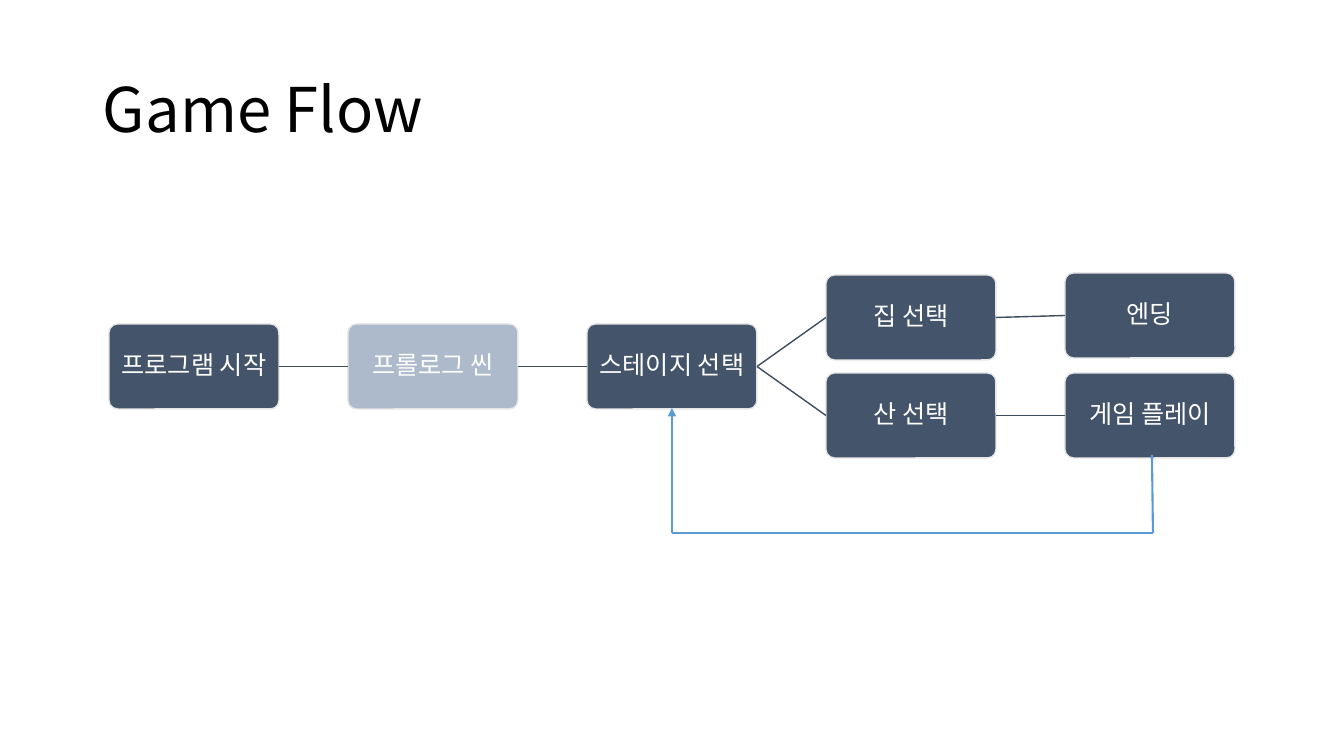
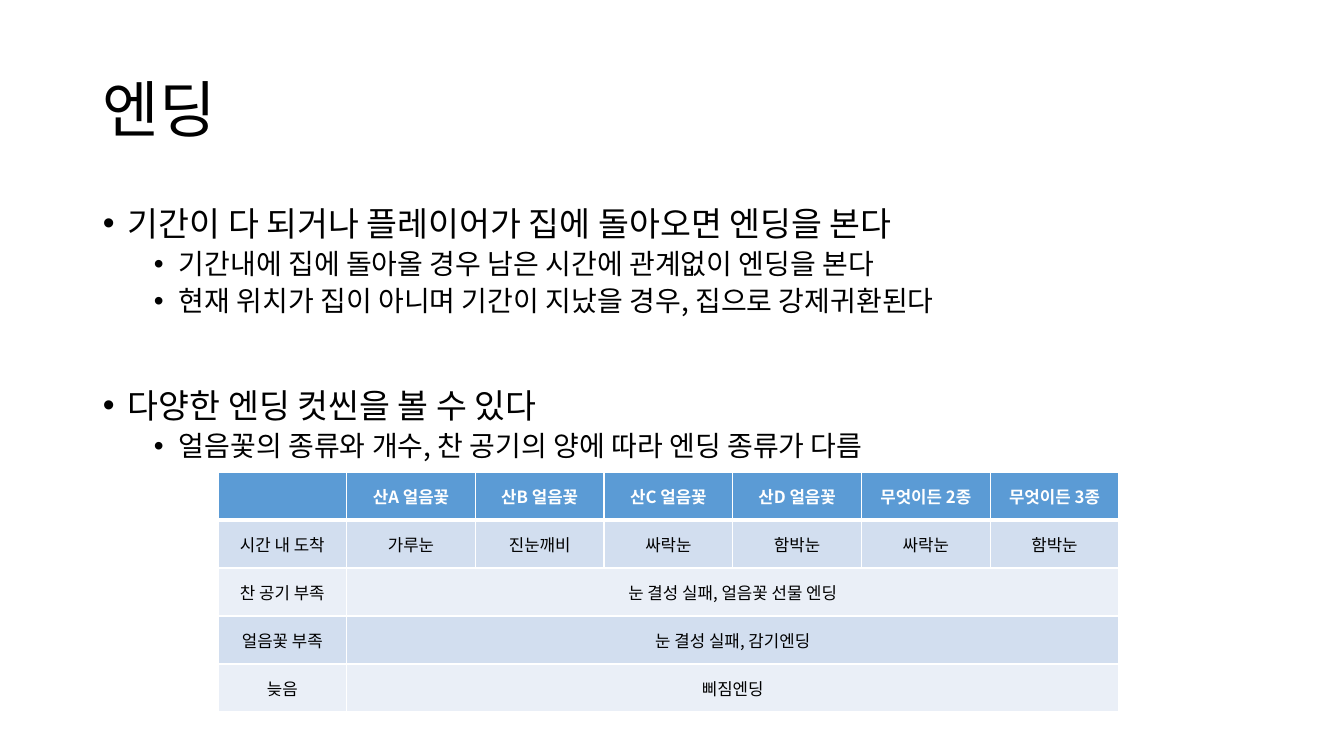
from pptx import Presentation
from pptx.dml.color import RGBColor
from pptx.enum.dml import MSO_LINE
from pptx.enum.shapes import MSO_CONNECTOR, MSO_SHAPE
from pptx.enum.text import MSO_ANCHOR, PP_ALIGN
from pptx.oxml.ns import qn
from pptx.util import Emu, Pt
from lxml.etree import SubElement

# Shared look
EMU_PER_PX = 914400 / 100.8
SLIDE_SIZE = (1344, 756)
FONT = "Noto Sans CJK KR"
BLACK, WHITE = "000000", "FFFFFF"
NAVY, PALE_NAVY, BOX_EDGE, LINK = "44546A", "ADBACB", "E7E6E6", "3E4C60"
BLUE, BAND_DARK, BAND_LIGHT = "5B9BD5", "D2DEEF", "EAEFF7"
TITLE_BOX = (93, 40, 1159, 146)

# Game flow: name -> (text, column, top, fill)
FLOW_LEFT, FLOW_STEP, BOX_WIDTH, BOX_HEIGHT = 109, 239, 170, 85
FLOW_BOXES = {
    "start": ("프로그램 시작", 0, 324, NAVY),
    "prologue": ("프롤로그 씬", 1, 324, PALE_NAVY),
    "stage": ("스테이지 선택", 2, 324, NAVY),
    "home": ("집 선택", 3, 275, NAVY),
    "ending": ("엔딩", 4, 273, NAVY),
    "mountain": ("산 선택", 3, 373, NAVY),
    "play": ("게임 플레이", 4, 373, NAVY),
}
FLOW_LINKS = [
    ("start", "prologue"), ("prologue", "stage"), ("stage", "home"),
    ("home", "ending"), ("stage", "mountain"), ("mountain", "play"),
]
RETURN_ROUTE = [(1152, 455), (1153, 533), (672, 533), (672, 408)]

# Ending: (level, space before in points, text)
BODY_BOX = (93, 202, 1159, 480)
LEVEL_FORMATS = [{"size": 24, "margin": 25}, {"size": 20, "margin": 76}]
BULLET_INDENT = 25
BULLETS = [
    (0, 10, "기간이 다 되거나 플레이어가 집에 돌아오면 엔딩을 본다"),
    (1, 5, "기간내에 집에 돌아올 경우 남은 시간에 관계없이 엔딩을 본다"),
    (1, 5, "현재 위치가 집이 아니며 기간이 지났을 경우, 집으로 강제귀환된다"),
    (0, 51, "다양한 엔딩 컷씬을 볼 수 있다"),
    (1, 5, "얼음꽃의 종류와 개수, 찬 공기의 양에 따라 엔딩 종류가 다름"),
]
TABLE_BOX = (218, 472, 901, 240)
ENDING_ROWS = [
    ["", "산A 얼음꽃", "산B 얼음꽃", "산C 얼음꽃", "산D 얼음꽃", "무엇이든 2종", "무엇이든 3종"],
    ["시간 내 도착", "가루눈", "진눈깨비", "싸락눈", "함박눈", "싸락눈", "함박눈"],
    ["찬 공기 부족", "눈 결성 실패, 얼음꽃 선물 엔딩"],
    ["얼음꽃 부족", "눈 결성 실패, 감기엔딩"],
    ["늦음", "삐짐엔딩"],
]


def px(value):
    return Emu(round(value * EMU_PER_PX))


def color(hex_text):
    return RGBColor.from_string(hex_text)


def set_attributes(target, values):
    for name, value in values.items():
        setattr(target, name, value)


def set_margins(target, horizontal, vertical):
    set_attributes(target, {
        "margin_left": px(horizontal), "margin_right": px(horizontal),
        "margin_top": px(vertical), "margin_bottom": px(vertical),
    })


def write(paragraph, text, size, text_color, bold=False, **paragraph_format):
    set_attributes(paragraph, paragraph_format)
    run = paragraph.add_run()
    run.text = text
    set_attributes(run.font, {"name": FONT, "size": Pt(size), "bold": bold})
    run.font.color.rgb = color(text_color)
    SubElement(run.font._element, qn("a:ea"), typeface=FONT)


def add_text_frame(slide, box, anchor):
    frame = slide.shapes.add_textbox(*map(px, box)).text_frame
    set_attributes(frame, {"word_wrap": True, "vertical_anchor": anchor})
    return frame


def add_titled_slide(presentation, title):
    slide = presentation.slides.add_slide(presentation.slide_layouts[6])
    frame = add_text_frame(slide, TITLE_BOX, MSO_ANCHOR.MIDDLE)
    write(frame.paragraphs[0], title, 44, BLACK, line_spacing=0.9)
    return slide


def add_flow_box(slide, text, column, top, fill):
    left = FLOW_LEFT + column * FLOW_STEP
    shape = slide.shapes.add_shape(
        MSO_SHAPE.ROUNDED_RECTANGLE, *map(px, (left, top, BOX_WIDTH, BOX_HEIGHT)))
    shape.adjustments[0] = 0.1
    shape.shadow.inherit = False
    shape.fill.solid()
    shape.fill.fore_color.rgb = color(fill)
    shape.line.color.rgb = color(BOX_EDGE)
    shape.line.width = Pt(1)
    frame = shape.text_frame
    set_attributes(frame, {"word_wrap": True, "vertical_anchor": MSO_ANCHOR.MIDDLE})
    set_margins(frame, 3, 3)
    write(frame.paragraphs[0], text, 18, WHITE,
          alignment=PP_ALIGN.CENTER, line_spacing=0.9)
    return shape


def add_line(slide, start, end, line_color, width):
    line = slide.shapes.add_connector(
        MSO_CONNECTOR.STRAIGHT, *map(px, (*start, *end)))
    line.line.color.rgb = color(line_color)
    set_attributes(line.line, {"width": Pt(width), "dash_style": MSO_LINE.SOLID})
    SubElement(line._element.spPr, qn("a:effectLst"))
    return line


def add_bullet(paragraph, level, space_before, text):
    level_format = LEVEL_FORMATS[level]
    write(paragraph, text, level_format["size"], BLACK, level=level,
          line_spacing=0.9, space_before=Pt(space_before))
    properties = paragraph._p.get_or_add_pPr()
    properties.set("marL", str(px(level_format["margin"])))
    properties.set("indent", str(-px(BULLET_INDENT)))
    SubElement(properties, qn("a:buFont"), typeface="Arial")
    SubElement(properties, qn("a:buChar"), char="•")


def add_borders(cell, widths):
    properties = cell._tc.get_or_add_tcPr()
    for side, width in widths.items():
        border = SubElement(properties, qn(f"a:ln{side}"), w=str(Pt(width)))
        fill = SubElement(border, qn("a:solidFill"))
        SubElement(fill, qn("a:srgbClr"), val=WHITE)


def add_ending_table(slide):
    row_count, column_count = len(ENDING_ROWS), len(ENDING_ROWS[0])
    table = slide.shapes.add_table(
        row_count, column_count, *map(px, TABLE_BOX)).table
    table.horz_banding = False
    for column in table.columns:
        column.width = px(TABLE_BOX[2] / column_count)
    for row_index, texts in enumerate(ENDING_ROWS):
        header = row_index == 0
        table.rows[row_index].height = px(TABLE_BOX[3] / row_count)
        row_fill = BLUE if header else (BAND_LIGHT, BAND_DARK)[row_index % 2]
        widths = {"L": 1, "R": 1, "T": 3 if row_index == 1 else 1,
                  "B": 3 if header else 1}
        for column_index in range(column_count):
            cell = table.cell(row_index, column_index)
            add_borders(cell, widths)
            cell.fill.solid()
            cell.fill.fore_color.rgb = color(row_fill)
            cell.vertical_anchor = MSO_ANCHOR.MIDDLE
            set_margins(cell, 7, 4)
        if len(texts) < column_count:
            table.cell(row_index, len(texts) - 1).merge(
                table.cell(row_index, column_count - 1))
        for column_index, text in enumerate(texts):
            if text:
                write(table.cell(row_index, column_index).text_frame.paragraphs[0],
                      text, 12, WHITE if header else BLACK, bold=header,
                      alignment=PP_ALIGN.CENTER)


def build_flow_slide(presentation):
    slide = add_titled_slide(presentation, "Game Flow")
    boxes = {name: add_flow_box(slide, *values)
             for name, values in FLOW_BOXES.items()}
    # Links run from the right side (3) to the left side (1)
    for source, target in FLOW_LINKS:
        link = add_line(slide, (0, 0), (0, 0), LINK, 1)
        link.begin_connect(boxes[source], 3)
        link.end_connect(boxes[target], 1)
    # Way back to the stage choice, with an arrowhead on the last leg
    for start, end in zip(RETURN_ROUTE, RETURN_ROUTE[1:]):
        leg = add_line(slide, start, end, BLUE, 1.5)
    SubElement(leg.line._get_or_add_ln(), qn("a:tailEnd"), type="triangle")


def build_ending_slide(presentation):
    slide = add_titled_slide(presentation, "엔딩")
    frame = add_text_frame(slide, BODY_BOX, MSO_ANCHOR.TOP)
    for index, bullet in enumerate(BULLETS):
        paragraph = frame.add_paragraph() if index else frame.paragraphs[0]
        add_bullet(paragraph, *bullet)
    add_ending_table(slide)


def main():
    presentation = Presentation()
    presentation.slide_width, presentation.slide_height = map(px, SLIDE_SIZE)
    build_flow_slide(presentation)
    build_ending_slide(presentation)
    presentation.save("out.pptx")


if __name__ == "__main__":
    main()
